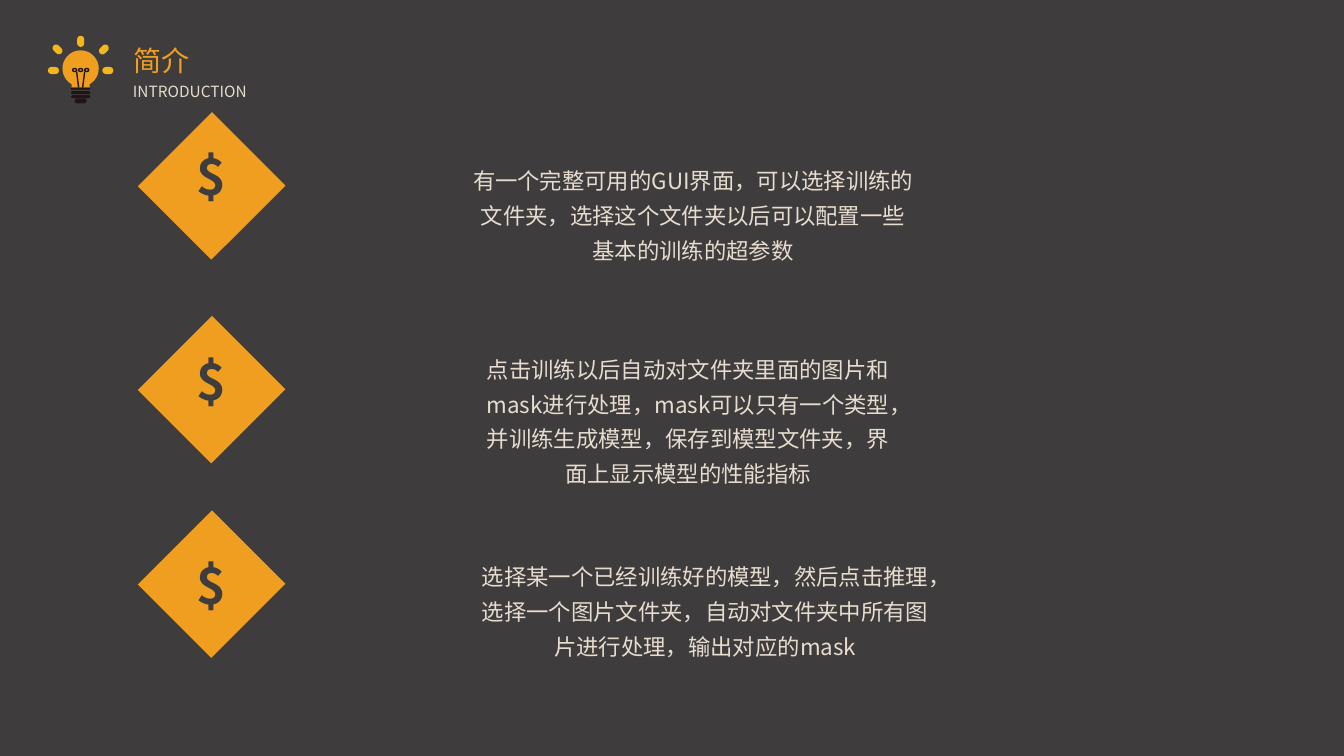
"""Builds the introduction slide with a bulb icon and three dollar-marked points."""
from math import cos, radians, sin

from lxml.etree import SubElement
from pptx import Presentation
from pptx.dml.color import RGBColor
from pptx.enum.shapes import MSO_CONNECTOR, MSO_SHAPE
from pptx.enum.text import MSO_ANCHOR, MSO_AUTO_SIZE, PP_ALIGN
from pptx.oxml.ns import qn
from pptx.util import Inches, Pt

FONT = "Noto Sans CJK SC"
DARK, GOLD, SUN, CREAM, INK = "3F3C3D", "EF9E20", "F3B71A", "E6DCCF", "201514"


def paint(item, color):
    item.fill.solid()
    item.fill.fore_color.rgb = RGBColor.from_string(color)


def write(shape, text, size, color=CREAM, align=PP_ALIGN.LEFT, space=1.3,
          wrap=True, bold=False):
    frame = shape.text_frame
    frame.word_wrap = wrap
    frame.auto_size = MSO_AUTO_SIZE.SHAPE_TO_FIT_TEXT
    frame.vertical_anchor = MSO_ANCHOR.TOP
    para = frame.paragraphs[0]
    para.alignment = align
    para.line_spacing = space
    run = para.add_run()
    run.text = text
    run.font.size = Pt(size)
    run.font.bold = bold
    run.font.name = FONT
    paint(run.font, color)
    SubElement(run._r.get_or_add_rPr(), qn("a:ea"), typeface=FONT)


deck = Presentation()
deck.slide_width, deck.slide_height = Inches(13.33), Inches(7.5)
slide = deck.slides.add_slide(deck.slide_layouts[5])
paint(slide.background, DARK)
shapes = slide.shapes

title = shapes.title
title.left, title.top = Inches(1.22), Inches(0.38)
title.width, title.height = Inches(0.76), Inches(0.44)
write(title, "简介", 20, GOLD, space=1.0, wrap=False)
label = shapes.add_textbox(Inches(1.22), Inches(0.71), Inches(3.13), Inches(0.32))
write(label, "INTRODUCTION", 11)

bulb = shapes.add_group_shape().shapes
axis, heart, radius = 0.8, 0.68, 0.18
neck, foot = 0.09, 0.87
pen = bulb.build_freeform(Inches(axis - neck), Inches(foot), 1.0)
for angle in range(120, 421, 10):
    x = axis + radius * cos(radians(angle))
    y = heart + radius * sin(radians(angle))
    pen.add_line_segments([(Inches(x), Inches(y))], close=False)
pen.add_line_segments([(Inches(axis + neck), Inches(foot))])
glass = pen.convert_to_shape()
paint(glass, GOLD)
solids = [glass]

rays = [(0.53, 0.7, 0), (0.57, 0.49, 45), (axis, 0.41, 90),
        (1.03, 0.49, 135), (1.07, 0.7, 0)]
rings = [(0.88, 0.02), (0.92, 0.03), (0.96, 0.03)]
pills = [(x, y, 0.11, 0.07, turn, SUN) for x, y, turn in rays]
pills += [(axis, y, 0.19, high, 0, INK) for y, high in rings]
pills += [(axis, 1.0, 0.12, 0.05, 0, INK)]
for x, y, wide, high, turn, color in pills:
    pill = bulb.add_shape(MSO_SHAPE.ROUNDED_RECTANGLE, Inches(x - wide / 2),
                          Inches(y - high / 2), Inches(wide), Inches(high))
    pill.adjustments[0] = 0.5
    pill.rotation = turn
    paint(pill, color)
    solids.append(pill)

for side in (-1, 0, 1):
    loop = bulb.add_shape(MSO_SHAPE.OVAL, Inches(axis + 0.06 * side - 0.02),
                          Inches(0.68), Inches(0.04), Inches(0.03))
    loop.shadow.inherit = False
    loop.fill.background()
    paint(loop.line, INK)
    loop.line.width = Pt(1)

for side in (-1, 1):
    wire = bulb.add_connector(
        MSO_CONNECTOR.STRAIGHT, Inches(axis + 0.04 * side), Inches(0.71),
        Inches(axis + 0.02 * side), Inches(foot))
    paint(wire.line, INK)
    wire.line.width = Pt(1)
    SubElement(wire._element.spPr, qn("a:effectLst"))

points = [
    (1.33, 4.57, 1.53, 4.61, 1.15,
     "有一个完整可用的GUI界面，可以选择训练的文件夹，"
     "选择这个文件夹以后可以配置一些基本的训练的超参数"),
    (3.35, 4.71, 3.4, 4.23, 1.5,
     "点击训练以后自动对文件夹里面的图片和mask进行处理，"
     "mask可以只有一个类型，并训练生成模型，保存到模型文件夹，界面上显示模型的性能指标"),
    (5.28, 4.64, 5.46, 4.71, 1.15,
     "选择某一个已经训练好的模型，然后点击推理，"
     "选择一个图片文件夹，自动对文件夹中所有图片进行处理，输出对应的mask")]
for row, (peak, left, top, wide, high, text) in enumerate(points):
    gem = shapes.add_shape(MSO_SHAPE.RECTANGLE, Inches(1.58), Inches(peak),
                           Inches(1.04), Inches(1.03))
    gem.rotation = 315
    paint(gem, GOLD)
    solids.append(gem)
    sign = shapes.add_textbox(Inches(1.58), Inches(1.39 + 2.03 * row),
                              Inches(1.04), Inches(0.82))
    write(sign, "$", 36, DARK, PP_ALIGN.CENTER, space=1.0, bold=True)
    body = shapes.add_textbox(Inches(left), Inches(top), Inches(wide), Inches(high))
    write(body, text, 16, align=PP_ALIGN.CENTER)

for solid in solids:
    solid.shadow.inherit = False
    solid.line.fill.background()

deck.save("out.pptx")
